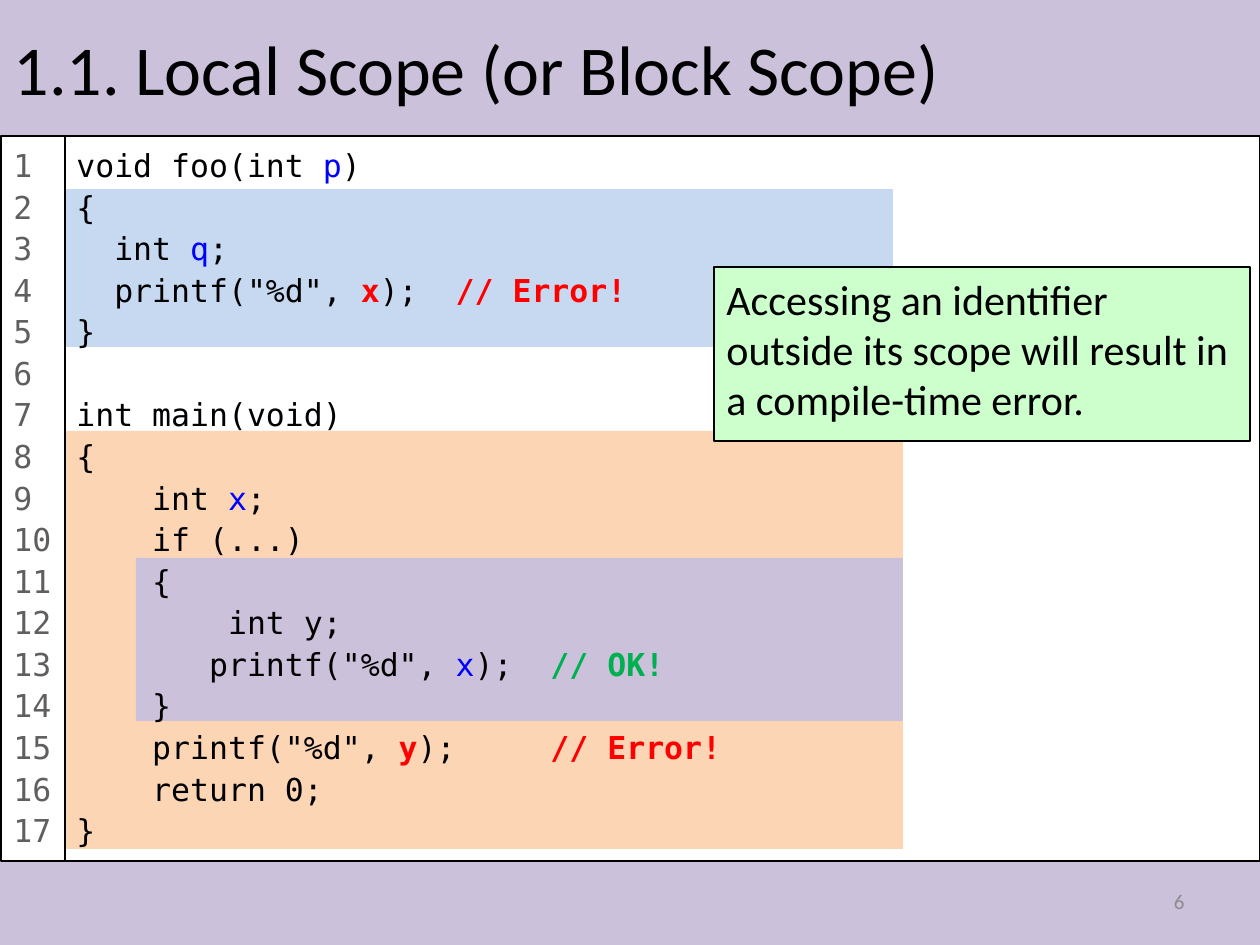
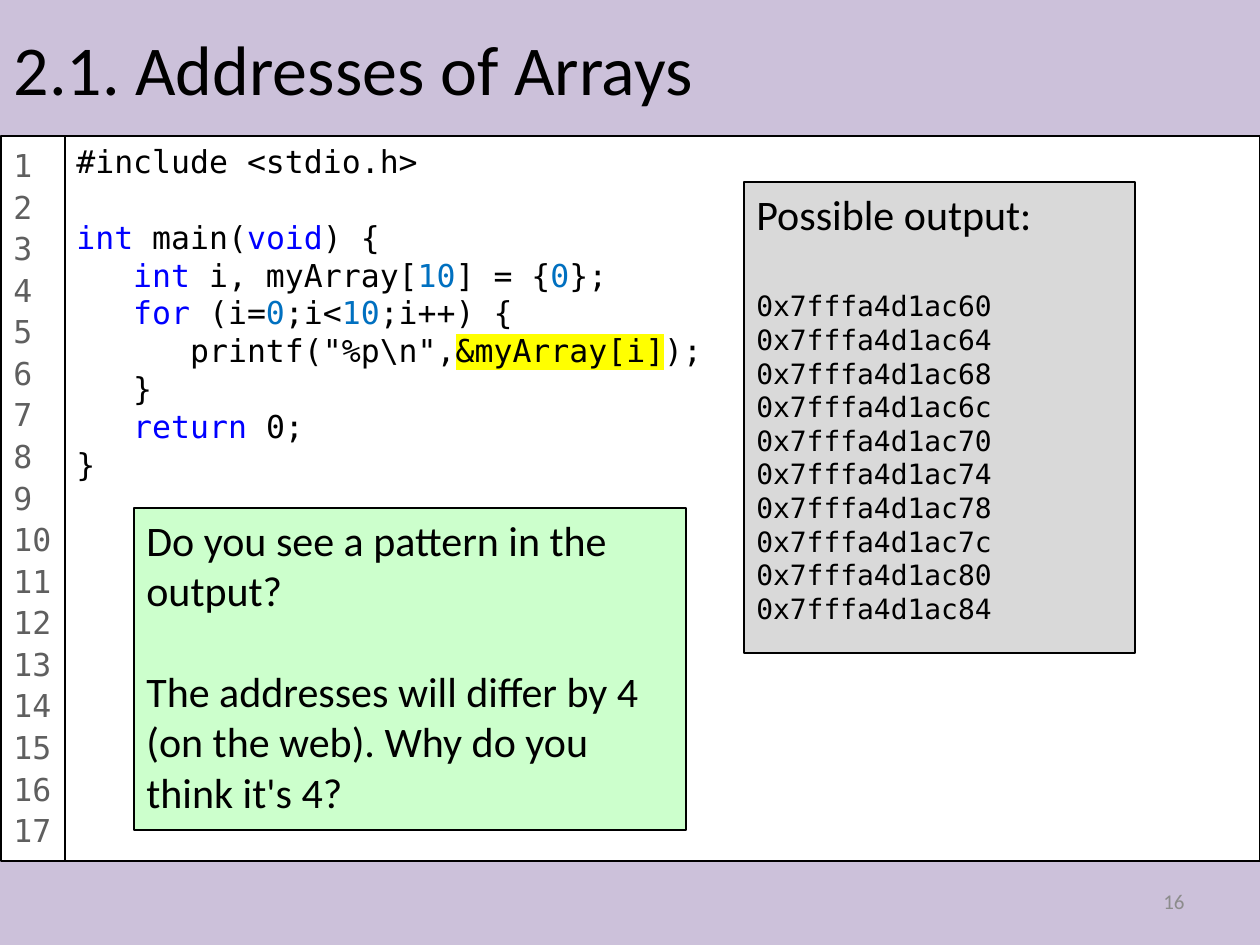
import lxml.etree
import pptx
import pptx.dml.color
import pptx.enum.shapes
import pptx.enum.text
import pptx.oxml.ns
import pptx.util

EMU_PER_PX = 914400 / 126
SLIDE_WIDTH, SLIDE_HEIGHT = 1260, 945
HEADER_HEIGHT, FOOTER_TOP = 136, 861
CODE_BOX = (64, HEADER_HEIGHT, 1196, FOOTER_TOP - HEADER_HEIGHT)
NUMBER_BOX = (1, HEADER_HEIGHT, 64, FOOTER_TOP - HEADER_HEIGHT)
LINE_COUNT = 17

TITLE_FONT = "Calibri"
CODE_FONT = "DejaVu Sans Mono"
BLACK = "000000"
WHITE = "FFFFFF"
LAVENDER = "CCC1DA"
PEACH = "FCD5B5"
SKY = "C6D9F1"
MINT = "CCFFCC"
SILVER = "D9D9D9"
NUMBER_GRAY = "5F5F5F"
FOOTER_GRAY = "8C8C8C"
HIGHLIGHT = "FFFF00"

RUN_STYLES = {
    "keyword": ("0000FF", False),
    "number": ("0070C0", False),
    "error": ("FF0000", True),
    "fine": ("00B050", True),
}

SCOPE_CODE = [
    ["void foo(int ", ("p", "keyword"), ")"],
    ["{"],
    ["  int ", ("q", "keyword"), ";"],
    ['  printf("%d", ', ("x", "error"), ");", ("  // Error!", "error")],
    ["}"],
    [],
    ["int main(void)"],
    ["{"],
    ["    int ", ("x", "keyword"), ";"],
    ["    if (...)"],
    ["    {"],
    ["        int y;"],
    ['       printf("%d", ', ("x", "keyword"), ");  ", ("// OK!", "fine")],
    ["    }"],
    ['    printf("%d", ', ("y", "error"), ");", ("     // Error!", "error")],
    ["    return 0;"],
    ["}"],
]

ARRAY_CODE = [
    ["#include <stdio.h>"],
    [],
    [("int", "keyword"), " main(", ("void", "keyword"), ") {"],
    ["   ", ("int ", "keyword"), "i, myArray[", ("10", "number"), "] = {",
     ("0", "number"), "};"],
    ["   ", ("for", "keyword"), " (i=", ("0", "number"), ";i<",
     ("10", "number"), ";i++) {"],
    ['      printf("%p\\n",', ("&myArray[i]", "highlight"), ");"],
    ["   }"],
    ["   ", ("return", "keyword"), " 0;"],
    ["}"],
]


def px(length):
    return round(length * EMU_PER_PX)


def color(hex_string):
    return pptx.dml.color.RGBColor.from_string(hex_string)


def add_rectangle(slide, box, fill=None, outlined=False):
    shape = slide.shapes.add_shape(
        pptx.enum.shapes.MSO_SHAPE.RECTANGLE, *map(px, box))
    shape.shadow.inherit = False
    if fill:
        shape.fill.solid()
        shape.fill.fore_color.rgb = color(fill)
    else:
        shape.fill.background()
    if outlined:
        shape.line.color.rgb = color(BLACK)
        shape.line.width = pptx.util.Pt(0.75)
    else:
        shape.line.fill.background()
    shape.text_frame.vertical_anchor = pptx.enum.text.MSO_ANCHOR.TOP
    shape.text_frame.word_wrap = True
    return shape


def format_paragraph(paragraph, size, font_name=TITLE_FONT, text_color=BLACK,
                     alignment=pptx.enum.text.PP_ALIGN.LEFT):
    paragraph.alignment = alignment
    paragraph.font.size = pptx.util.Pt(size)
    paragraph.font.name = font_name
    paragraph.font.color.rgb = color(text_color)


def add_paragraph(text_frame, is_first):
    return text_frame.paragraphs[0] if is_first else text_frame.add_paragraph()


def highlight_run(run):
    properties = run.font._element
    highlight = lxml.etree.SubElement(
        properties, pptx.oxml.ns.qn("a:highlight"))
    lxml.etree.SubElement(
        highlight, pptx.oxml.ns.qn("a:srgbClr"), val=HIGHLIGHT)


def add_code_run(paragraph, piece):
    text, style = (piece, None) if isinstance(piece, str) else piece
    run = paragraph.add_run()
    run.text = text
    if style == "highlight":
        highlight_run(run)
    elif style:
        run_color, bold = RUN_STYLES[style]
        run.font.color.rgb = color(run_color)
        run.font.bold = bold


def write_code(text_frame, lines, spacing, text_color=BLACK):
    gap = 0
    for index, pieces in enumerate(lines):
        if not pieces:
            gap += 21.6 * spacing
            continue
        paragraph = add_paragraph(text_frame, index == 0)
        paragraph.line_spacing = spacing
        if gap:
            paragraph.space_before = pptx.util.Pt(gap)
            gap = 0
        format_paragraph(paragraph, 18, CODE_FONT, text_color)
        for piece in pieces:
            add_code_run(paragraph, piece)


def add_code_listing(slide, lines, spacing):
    code = add_rectangle(slide, CODE_BOX, outlined=True)
    write_code(code.text_frame, lines, spacing)
    numbers = add_rectangle(slide, NUMBER_BOX, WHITE, outlined=True)
    numbers.text_frame.word_wrap = False
    number_lines = [[str(number)] for number in range(1, LINE_COUNT + 1)]
    write_code(numbers.text_frame, number_lines, 1.1, NUMBER_GRAY)


def add_callout(slide, box, texts):
    callout = add_rectangle(slide, box, MINT, outlined=True)
    for index, text in enumerate(texts):
        paragraph = add_paragraph(callout.text_frame, index == 0)
        paragraph.text = text
        if index:
            paragraph.space_before = pptx.util.Pt(28.8)
        format_paragraph(paragraph, 24)


def add_output_panel(slide, box, heading, addresses):
    panel = add_rectangle(slide, box, SILVER, outlined=True)
    heading_paragraph = panel.text_frame.paragraphs[0]
    heading_paragraph.text = heading
    format_paragraph(heading_paragraph, 24)
    for index, address in enumerate(addresses):
        paragraph = panel.text_frame.add_paragraph()
        paragraph.text = address
        if index == 0:
            paragraph.space_before = pptx.util.Pt(28.8)
        format_paragraph(paragraph, 16, CODE_FONT)


def add_bands(slide):
    add_rectangle(slide, (0, 0, SLIDE_WIDTH, HEADER_HEIGHT), LAVENDER)
    add_rectangle(
        slide, (0, FOOTER_TOP, SLIDE_WIDTH, SLIDE_HEIGHT - FOOTER_TOP), LAVENDER)


def place_title(slide, text):
    title = slide.shapes.title
    title.left, title.top, title.width, title.height = map(
        px, (1, 0, SLIDE_WIDTH - 1, HEADER_HEIGHT))
    title.text_frame.text = text
    title.text_frame.vertical_anchor = pptx.enum.text.MSO_ANCHOR.MIDDLE
    format_paragraph(title.text_frame.paragraphs[0], 40)
    slide.shapes.element.append(title.element)


def add_page_number(slide, number):
    text_box = slide.shapes.add_textbox(*map(px, (903, 876, 294, 50)))
    text_box.text_frame.word_wrap = True
    text_box.text_frame.vertical_anchor = pptx.enum.text.MSO_ANCHOR.MIDDLE
    paragraph = text_box.text_frame.paragraphs[0]
    paragraph.text = str(number)
    format_paragraph(paragraph, 12, text_color=FOOTER_GRAY,
                     alignment=pptx.enum.text.PP_ALIGN.RIGHT)


def add_base_slide(presentation, title, page_number):
    slide = presentation.slides.add_slide(presentation.slide_layouts[5])
    add_bands(slide)
    place_title(slide, title)
    add_page_number(slide, page_number)
    return slide


def build_scope_slide(presentation):
    slide = add_base_slide(presentation, "1.1. Local Scope (or Block Scope)", 6)
    add_rectangle(slide, (66, 431, 837, 418), PEACH)
    add_rectangle(slide, (136, 558, 767, 163), LAVENDER)
    add_rectangle(slide, (65, 189, 828, 158), SKY)
    add_code_listing(slide, SCOPE_CODE, 1.1)
    add_callout(slide, (714, 267, 536, 174), [
        "Accessing an identifier outside its scope will result in "
        "a compile-time error."])


def build_array_slide(presentation):
    slide = add_base_slide(presentation, "2.1. Addresses of Arrays", 16)
    add_code_listing(slide, ARRAY_CODE, 1.0)
    addresses = [f"0x{0x7fffa4d1ac60 + 4 * index:x}" for index in range(10)]
    add_output_panel(slide, (744, 182, 391, 471), "Possible output:", addresses)
    add_callout(slide, (134, 508, 552, 322), [
        "Do you see a pattern in the output?",
        "The addresses will differ by 4 (on the web). "
        "Why do you think it's 4?"])


def main():
    presentation = pptx.Presentation()
    presentation.slide_width = px(SLIDE_WIDTH)
    presentation.slide_height = px(SLIDE_HEIGHT)
    build_scope_slide(presentation)
    build_array_slide(presentation)
    presentation.save("out.pptx")


if __name__ == "__main__":
    main()
